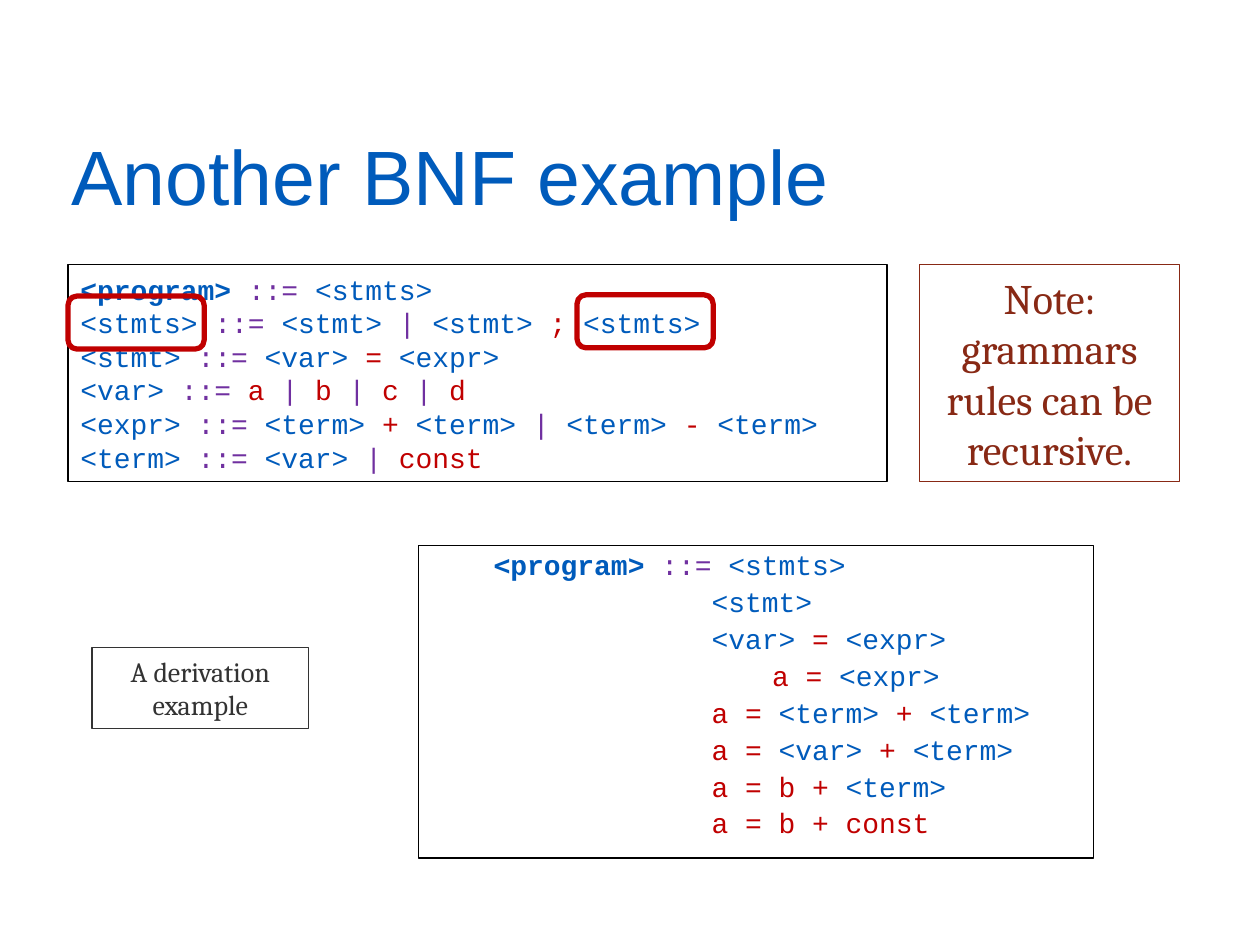
"""Build a slide showing a recursive BNF grammar and a derivation from it."""
import pptx
import pptx.dml.color
import pptx.enum.shapes
import pptx.enum.text
import pptx.util

THEME = {
    "blue": "005BBB", "purple": "7030A0", "red": "C00000",
    "brown": "882915", "gray": "333333", "black": "000000",
    "title": 44, "note": 24, "body": 16,
    "title_font": "Arial", "note_font": "Cambria",
    "code_font": "Courier New", "bracket_font": "DejaVu Sans Mono",
}
COLUMNS, ROWS = 100, 75
SHAPES = pptx.enum.shapes.MSO_SHAPE
ALIGN = pptx.enum.text.PP_ALIGN
ANCHOR = pptx.enum.text.MSO_ANCHOR

presentation = pptx.Presentation()
presentation.slide_width = pptx.util.Inches(10)
presentation.slide_height = pptx.util.Inches(7.5)
slide = presentation.slides.add_slide(presentation.slide_layouts[6])
column = presentation.slide_width / COLUMNS
row = presentation.slide_height / ROWS


def add_box(left, top, width, height, line=None, weight=0.75, kind=SHAPES.RECTANGLE):
    shape = slide.shapes.add_shape(
        kind, round(left * column), round(top * row), round(width * column), round(height * row))
    shape.shadow.inherit = False
    shape.fill.background()
    if line:
        shape.line.color.rgb = pptx.dml.color.RGBColor.from_string(THEME[line])
        shape.line.width = pptx.util.Pt(weight)
    else:
        shape.line.fill.background()
    shape.text_frame.word_wrap = True
    return shape


def write(shape, lines, size="body", font="code_font", align=ALIGN.LEFT,
          anchor=ANCHOR.TOP, spacing=1.0, before=0, indents=()):
    shape.text_frame.vertical_anchor = anchor
    for index, runs in enumerate(lines):
        frame = shape.text_frame
        paragraph = frame.add_paragraph() if index else frame.paragraphs[0]
        paragraph.alignment = align
        paragraph.line_spacing = spacing
        paragraph.space_before = pptx.util.Pt(before if index else 0)
        if indents:
            paragraph._p.get_or_add_pPr().set("marL", str(round(indents[index] * column)))
        for text, color, *style in runs:
            run = paragraph.add_run()
            run.text = text
            run.font.size = pptx.util.Pt(THEME[size])
            run.font.name = THEME["bracket_font" if "bracket" in style else font]
            run.font.bold = "bold" in style
            run.font.color.rgb = pptx.dml.color.RGBColor.from_string(THEME[color])


DEFINES = ("::= ", "purple")
OR = ("| ", "purple")
EQUALS = ("= ", "red")
PLUS = ("+ ", "red")
STMTS, STMT, VAR, EXPR, TERM = [
    (f"<{name}> ", "blue") for name in ("stmts", "stmt", "var", "expr", "term")]

derivation = [
    [("<", "blue", "bold", "bracket"), ("program> ", "blue", "bold"), DEFINES, STMTS],
    [STMT],
    [VAR, EQUALS, EXPR],
    [("a = ", "red"), EXPR],
    [("a = ", "red"), TERM, PLUS, TERM],
    [("a = ", "red"), VAR, PLUS, TERM],
    [("a = b + ", "red"), TERM],
    [("a = b + const", "red")],
]
write(add_box(33.2, 43.3, 53.6, 24.8, "black"), derivation, spacing=0.9, before=3.8,
      indents=[5, 22.3, 22.3, 27.1, 22.3, 22.3, 22.3, 22.3])

write(add_box(4.7, 10.5, 86.2, 9.5), [[("Another BNF example", "blue")]],
      size="title", font="title_font", spacing=0.9)

grammar = [
    [("<program> ", "blue", "bold"), DEFINES, STMTS],
    [STMTS, DEFINES, STMT, OR, STMT, ("; ", "red"), STMTS],
    [STMT, DEFINES, VAR, EQUALS, EXPR],
    [VAR, DEFINES, ("a ", "red"), OR, ("b ", "red"), OR, ("c ", "red"), OR, ("d", "red")],
    [EXPR, DEFINES, TERM, PLUS, TERM, OR, TERM, ("- ", "red"), TERM],
    [TERM, DEFINES, VAR, OR, ("const", "red")],
]
write(add_box(5.4, 21, 65, 17.2, "black"), grammar, anchor=ANCHOR.MIDDLE)

notes = [
    ("A derivation example", (7.3, 51.4, 17.2, 6.4), "gray", "body"),
    ("Note: grammars rules can be recursive.", (73, 21, 20.6, 17.2), "brown", "note"),
]
for text, place, color, size in notes:
    write(add_box(*place, color), [[(text, color)]], size=size, font="note_font",
          align=ALIGN.CENTER, anchor=ANCHOR.MIDDLE)

for left, top in [(45.8, 23.4), (5.4, 23.5)]:
    add_box(left, top, 10.8, 4.2, "red", weight=3, kind=SHAPES.ROUNDED_RECTANGLE)

presentation.save("out.pptx")
